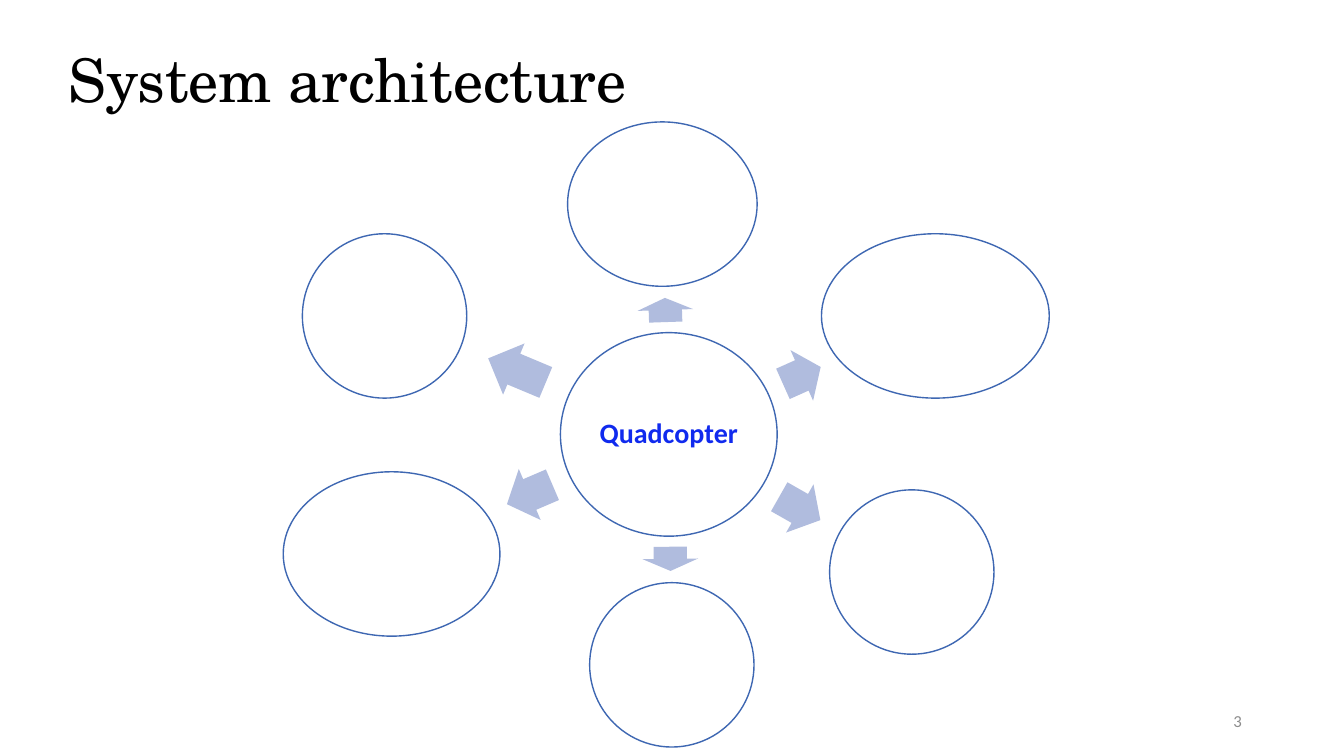
from pptx import Presentation
from pptx.dml.color import RGBColor
from pptx.enum.shapes import MSO_SHAPE
from pptx.enum.text import MSO_ANCHOR, PP_ALIGN
from pptx.util import Pt

BLACK = RGBColor(0x00, 0x00, 0x00)
WHITE = RGBColor(0xFF, 0xFF, 0xFF)
OUTLINE = RGBColor(0x3E, 0x67, 0xB2)
ARROW = RGBColor(0xB0, 0xBC, 0xDE)
HUB_TEXT = RGBColor(0x10, 0x2A, 0xEE)
GRAY = RGBColor(0x8C, 0x8C, 0x8C)

SATELLITE_HEIGHT = 117.4
ARROW_HEIGHT = 39.6

prs = Presentation()
prs.slide_width, prs.slide_height = Pt(960), Pt(540)
slide = prs.slides.add_slide(prs.slide_layouts[6])


def add_filled(preset, left, top, width, height, fill):
    shape = slide.shapes.add_shape(preset, Pt(left), Pt(top), Pt(width), Pt(height))
    shape.shadow.inherit = False
    shape.fill.solid()
    shape.fill.fore_color.rgb = fill
    if preset == MSO_SHAPE.OVAL:
        shape.line.color.rgb = OUTLINE
        shape.line.width = Pt(1)
    else:
        shape.line.fill.background()
    return shape


def write(shape, text, font, size, color, align, anchor):
    """Put one styled paragraph into a shape and return the paragraph."""
    frame = shape.text_frame
    frame.word_wrap = True
    frame.vertical_anchor = anchor
    paragraph = frame.paragraphs[0]
    paragraph.text = text
    paragraph.alignment = align
    paragraph.font.name = font
    paragraph.font.size = Pt(size)
    paragraph.font.color.rgb = color
    return paragraph


title = slide.shapes.add_textbox(Pt(41.8), Pt(32.4), Pt(680.4), Pt(62.6))
heading = write(title, "System architecture", "TeX Gyre Schola", 42.9, BLACK,
                PP_ALIGN.LEFT, MSO_ANCHOR.TOP)
heading.line_spacing = 0.9

hub = add_filled(MSO_SHAPE.OVAL, 400.3, 237.6, 154.8, 145.4, WHITE)
hub.text_frame.margin_left = hub.text_frame.margin_right = Pt(2)
hub.text_frame.margin_top = hub.text_frame.margin_bottom = Pt(2)
hub_label = write(hub, "Quadcopter", "Calibri", 20, HUB_TEXT,
                  PP_ALIGN.CENTER, MSO_ANCHOR.MIDDLE)
hub_label.font.bold = True
hub_label.line_spacing = 0.9

# Clockwise from the top: arrow (left, top, length, rotation), satellite (left, top, width)
spokes = [
    ((466.6, 201.6, 17.3, 268.1), (405.4, 87.1, 135.4)),
    ((558, 248.4, 29.5, 335.9), (586.8, 167, 162.7)),
    ((554.4, 343.4, 33.8, 29.6), (592.6, 349.9, 117.4)),
    ((470.2, 379.4, 17.3, 89.3), (421.2, 416.2, 117.4)),
    ((360.7, 333.4, 35.3, 156.8), (202.3, 337, 154.8)),
    ((347, 244.8, 44.6, 202.7), (216, 167, 117.4)),
]
for (left, top, length, rotation), satellite in spokes:
    arrow = add_filled(MSO_SHAPE.RIGHT_ARROW, left, top, length, ARROW_HEIGHT, ARROW)
    arrow.rotation = rotation
    arrow.adjustments[0] = 0.6
    arrow.adjustments[1] = 0.5
    add_filled(MSO_SHAPE.OVAL, *satellite, SATELLITE_HEIGHT, WHITE)

page_number = slide.shapes.add_textbox(Pt(678.2), Pt(500.4), Pt(216), Pt(28.8))
write(page_number, "3", "Calibri", 12, GRAY, PP_ALIGN.RIGHT, MSO_ANCHOR.MIDDLE)

prs.save("out.pptx")
